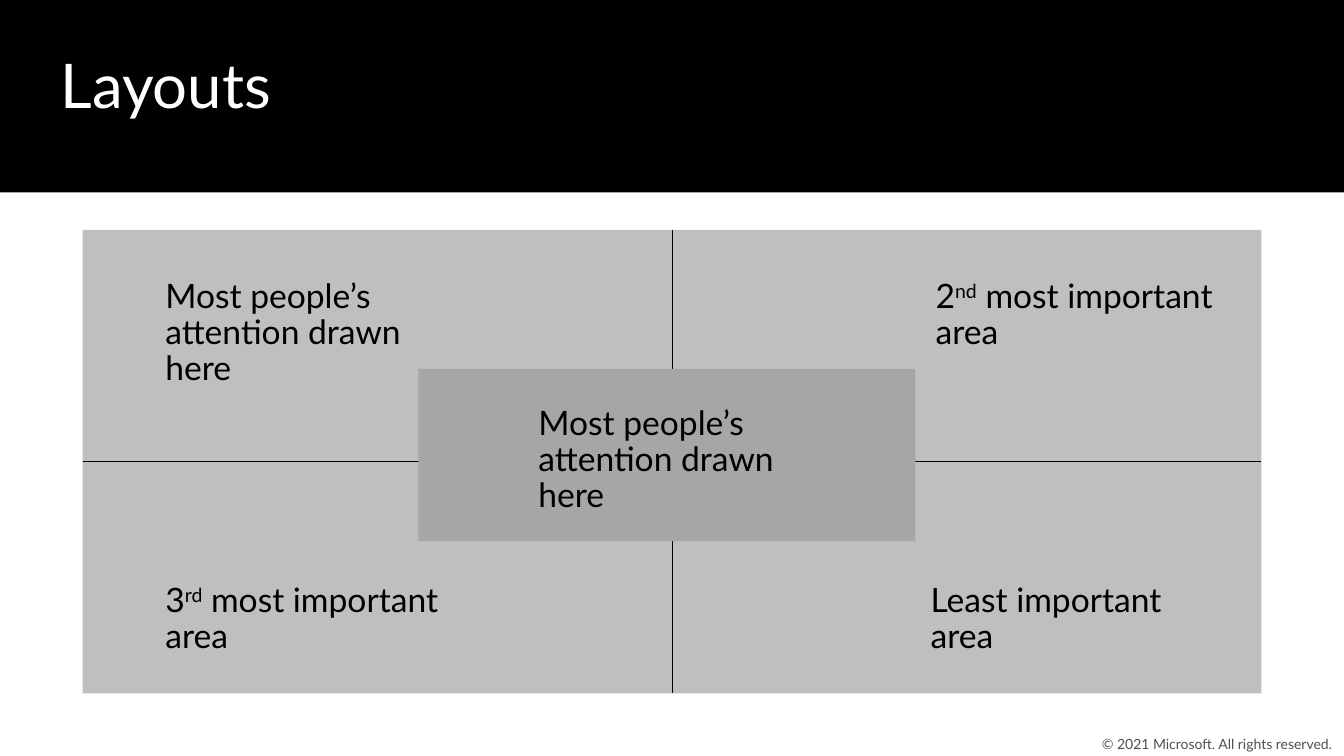
import pptx
import pptx.dml.color
import pptx.enum.shapes
import pptx.enum.text
import pptx.oxml.ns
import pptx.util
from lxml import etree

PX = 9144  # 100 px to the inch
SLIDE_WIDTH, SLIDE_HEIGHT = 1333, 750
FONT = "Lato"

BLACK = pptx.dml.color.RGBColor(0x00, 0x00, 0x00)
WHITE = pptx.dml.color.RGBColor(0xFF, 0xFF, 0xFF)
AREA_GREY = pptx.dml.color.RGBColor(0xBF, 0xBF, 0xBF)
CENTRE_GREY = pptx.dml.color.RGBColor(0xA6, 0xA6, 0xA6)
FOOTER_GREY = pptx.dml.color.RGBColor(0x50, 0x50, 0x50)

ATTENTION = [("Most people’s attention drawn here", False)]
# Offsets from the top left corner of the diagram
LABELS = [
    (62, 33, ATTENTION),
    (62, 335, [("3", False), ("rd", True), (" most important area", False)]),
    (826, 33, [("2", False), ("nd", True), (" most important area", False)]),
    (821, 335, [("Least important area", False)]),
]


def emu(*lengths):
    return [pptx.util.Emu(length * PX) for length in lengths]


def set_font(paragraph, size, color):
    paragraph.font.name = FONT
    paragraph.font.size = pptx.util.Pt(size)
    paragraph.font.color.rgb = color


def set_margins(frame, horizontal, vertical):
    frame.margin_left, frame.margin_right = emu(horizontal, horizontal)
    frame.margin_top, frame.margin_bottom = emu(vertical, vertical)


def add_block(slide, box, color):
    block = slide.shapes.add_shape(
        pptx.enum.shapes.MSO_SHAPE.RECTANGLE, *emu(*box))
    block.shadow.inherit = False
    block.fill.solid()
    block.fill.fore_color.rgb = color
    block.line.fill.background()
    return block


def add_divider(slide, *ends):
    divider = slide.shapes.add_connector(
        pptx.enum.shapes.MSO_CONNECTOR.STRAIGHT, *emu(*ends))
    divider.line.color.rgb = BLACK
    divider.line.width = pptx.util.Pt(0.5)
    etree.SubElement(divider._element.spPr, pptx.oxml.ns.qn("a:effectLst"))


def add_label(slide, left, top, parts):
    """Add a label from (text, is superscript) parts."""
    height = 141 if parts is ATTENTION else 105
    frame = slide.shapes.add_textbox(*emu(left, top, 338, height)).text_frame
    frame.word_wrap = True
    frame.auto_size = pptx.enum.text.MSO_AUTO_SIZE.SHAPE_TO_FIT_TEXT
    set_margins(frame, 20, 16)
    paragraph = frame.paragraphs[0]
    paragraph.line_spacing = 0.9
    paragraph.space_after = pptx.util.Pt(6)
    set_font(paragraph, 24, BLACK)
    for text, superscript in parts:
        run = paragraph.add_run()
        run.text = text
        if superscript:
            run._r.get_or_add_rPr().set("baseline", "30000")


def add_header(slide, left, top, width, height):
    band = add_block(slide, (left, top, width, height), BLACK)
    slide.shapes._spTree.insert(2, band._element)  # behind the title
    title = slide.shapes.title
    title.left, title.top, title.width, title.height = emu(
        left + 50, top + 42, width - 104, 76)
    frame = title.text_frame
    frame.text = "Layouts"
    frame.auto_size = pptx.enum.text.MSO_AUTO_SIZE.NONE
    frame.vertical_anchor = pptx.enum.text.MSO_ANCHOR.TOP
    set_margins(frame, 10, 5)
    frame.paragraphs[0].alignment = pptx.enum.text.PP_ALIGN.LEFT
    set_font(frame.paragraphs[0], 44, WHITE)


def add_attention_diagram(slide, left, top, width, height):
    """Quarter an area, label each quarter and lay a panel over the middle."""
    add_block(slide, (left, top, width, height), AREA_GREY)
    for dx, dy, parts in LABELS:
        add_label(slide, left + dx, top + dy, parts)
    middle_x, middle_y = left + width // 2 + 1, top + height // 2
    add_divider(slide, middle_x, top, middle_x, top + height)
    add_divider(slide, left, middle_y, left + width, middle_y)
    centre_left, centre_top = left + 333, top + 138
    add_block(slide, (centre_left, centre_top, 493, 171), CENTRE_GREY)
    add_label(slide, centre_left + 99, centre_top + 21, ATTENTION)


def add_footer(slide, left, top, width, height):
    frame = slide.shapes.add_textbox(*emu(left, top, width, height)).text_frame
    frame.word_wrap = True
    frame.vertical_anchor = pptx.enum.text.MSO_ANCHOR.MIDDLE
    set_margins(frame, 0, 0)
    paragraph = frame.paragraphs[0]
    paragraph.text = "© 2021 Microsoft. All rights reserved."
    paragraph.alignment = pptx.enum.text.PP_ALIGN.CENTER
    set_font(paragraph, 10, FOOTER_GREY)


def main():
    presentation = pptx.Presentation()
    presentation.slide_width, presentation.slide_height = emu(
        SLIDE_WIDTH, SLIDE_HEIGHT)
    slide = presentation.slides.add_slide(presentation.slide_layouts[5])
    add_header(slide, 0, 0, SLIDE_WIDTH, 191)
    add_attention_diagram(slide, 82, 228, 1169, 460)
    add_footer(slide, 1083, 726, 248, 24)
    presentation.save("out.pptx")


if __name__ == "__main__":
    main()
